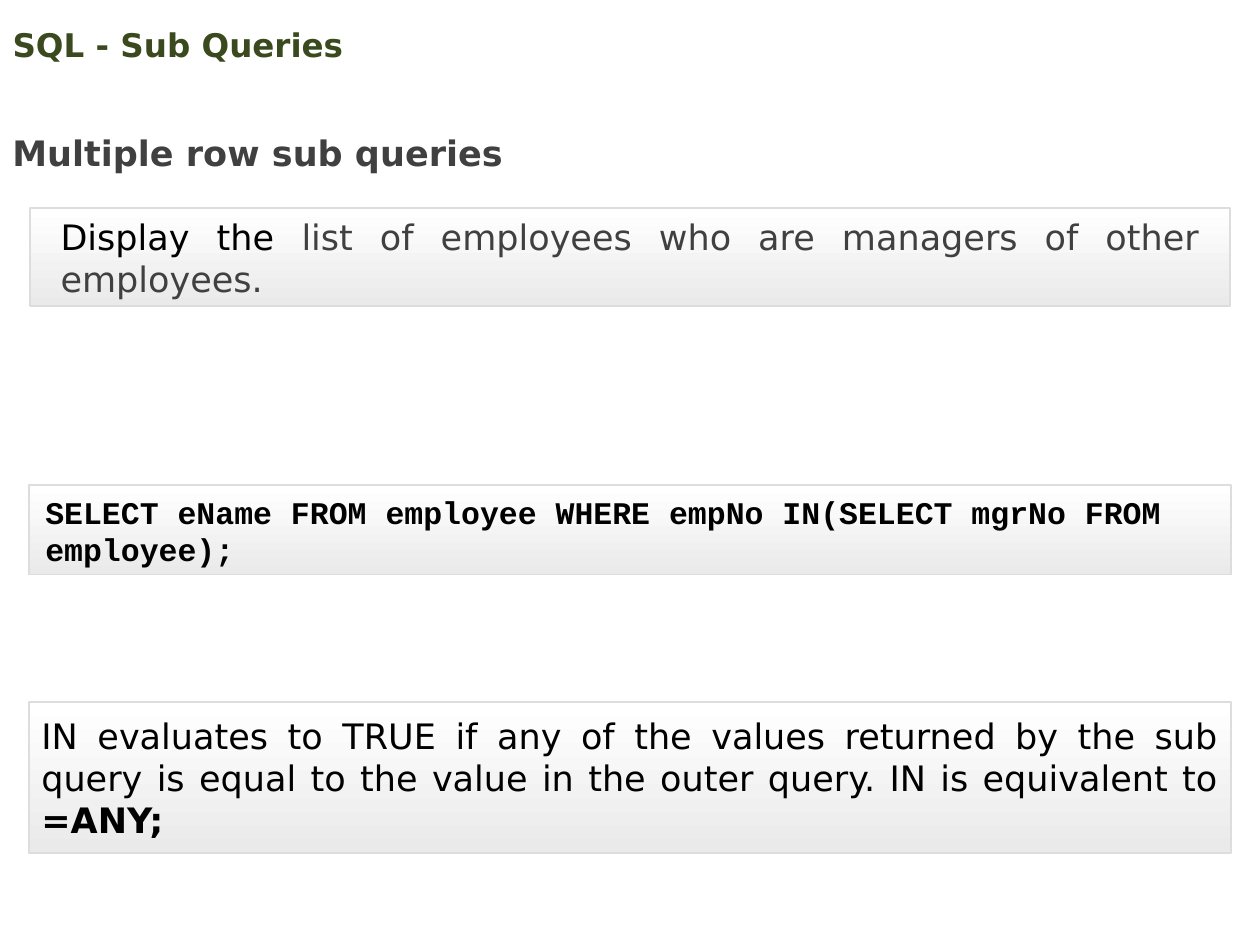
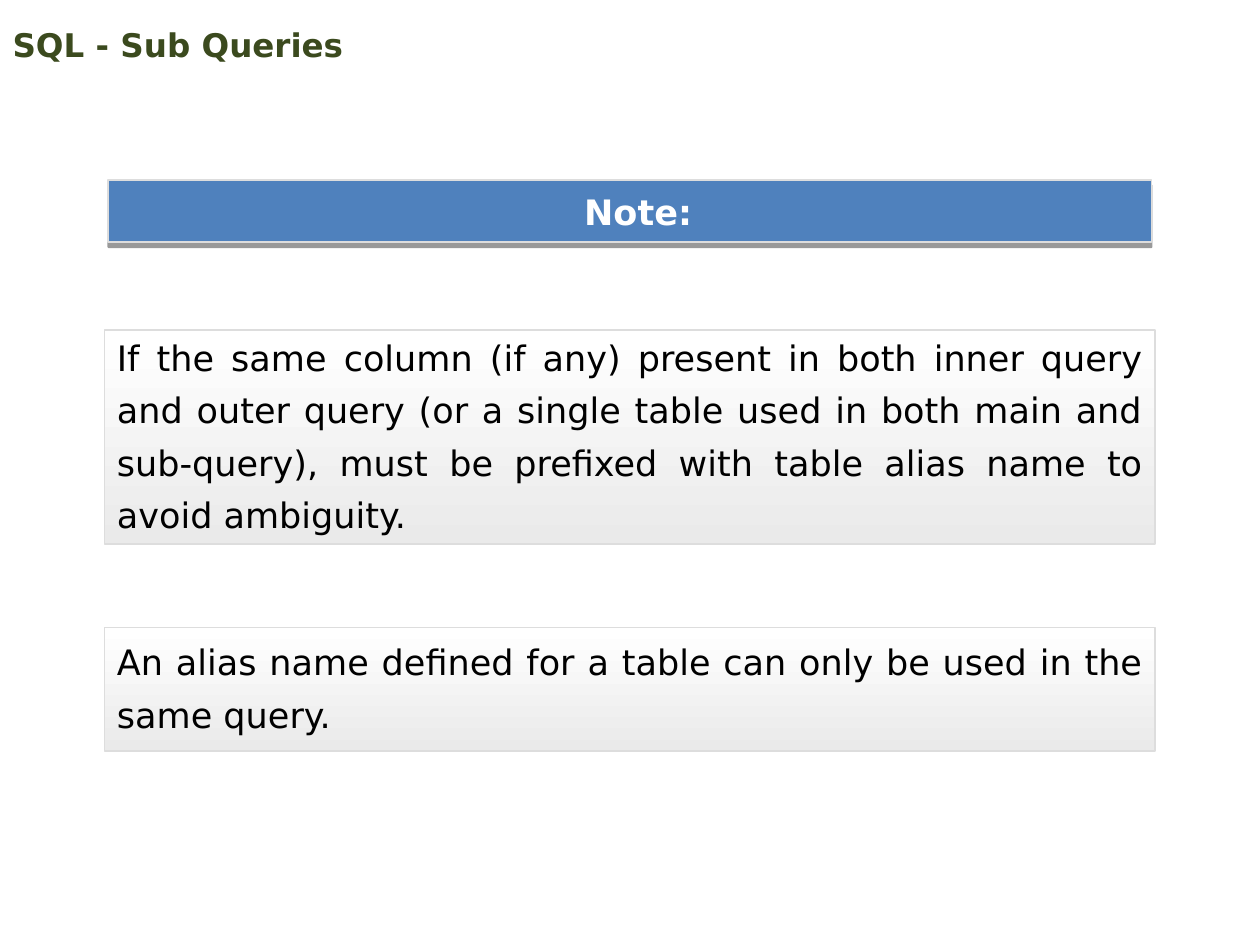
from dataclasses import dataclass
from lxml.etree import SubElement
from pptx import Presentation
from pptx.dml.color import RGBColor
from pptx.enum.shapes import MSO_SHAPE
from pptx.enum.text import MSO_ANCHOR, MSO_AUTO_SIZE, PP_ALIGN
from pptx.oxml.ns import qn
from pptx.util import Inches, Pt


@dataclass(frozen=True)
class Theme:
    title: str = "3B4A1E"
    text: str = "000000"
    muted: str = "404040"
    light: str = "FFFFFF"
    panel_end: str = "EAEAEA"
    border: str = "DDDDDD"
    accent: str = "4F81BD"
    font: str = "DejaVu Sans"
    code_font: str = "Courier New"
    title_size: float = 18.6
    body_size: float = 20
    code_size: float = 18


T = Theme()
WIDTH, HEIGHT = 10, 7.5
TITLE = "SQL - Sub Queries"

# Each run is (text, format); each panel is (top, height, runs, format).
HEADING = "Multiple row sub queries"
QUERY_PANELS = [
    (1.65, 0.78,
     [("Display the ", {}),
      ("list of employees who are managers of other employees.", {"color": T.muted})],
     {"margin": 0.24, "insets": (0.24, 0, 0.24, 0)}),
    (3.85, 0.71,
     [("SELECT eName FROM employee WHERE empNo IN(SELECT mgrNo FROM employee);",
       {"font": T.code_font, "size": T.code_size, "bold": True})],
     {"margin": 0.23, "insets": (0.13, 0.06, 0.12, 0.05),
      "align": PP_ALIGN.LEFT, "anchor": MSO_ANCHOR.TOP}),
    (5.57, 1.2,
     [("IN evaluates to TRUE if any of the values returned by the sub query is equal "
       "to the value in the outer query. IN is equivalent to ", {}),
      ("=ANY;", {"bold": True})],
     {"margin": 0.23}),
]

NOTE = "Note:"
NOTE_FORMAT = {"margin": 0.83, "insets": (0.1, 0, 0.1, 0.1), "spacing": Pt(30)}
NOTE_PANELS = [
    (2.62, 1.7,
     [("If the same column (if any) present in both inner query and outer query "
       "(or a single table used in both main and sub-query), must be prefixed with "
       "table alias name to avoid ambiguity.", {})], NOTE_FORMAT),
    (4.98, 0.98,
     [("An alias name defined for a table can only be used in the same query.", {})],
     NOTE_FORMAT),
]


def rgb(color):
    return RGBColor.from_string(color)


def write(sp, runs, align=PP_ALIGN.LEFT, anchor=MSO_ANCHOR.MIDDLE,
          insets=(0.1, 0.05, 0.1, 0.05), spacing=None, indent=0):
    """Fill a shape with one paragraph of (text, format) runs."""
    tf = sp.text_frame
    tf.word_wrap = True
    tf.auto_size = MSO_AUTO_SIZE.NONE
    tf.vertical_anchor = anchor
    tf.margin_left, tf.margin_top, tf.margin_right, tf.margin_bottom = map(Inches, insets)
    p = tf.paragraphs[0]
    p.alignment = align
    if spacing:
        p.line_spacing = spacing
    if indent:
        p._p.get_or_add_pPr().set("marL", str(Inches(indent)))
    for text, style in runs:
        r = p.add_run()
        r.text = text
        r.font.name = style.get("font", T.font)
        r.font.size = Pt(style.get("size", T.body_size))
        r.font.bold = style.get("bold", False)
        r.font.color.rgb = rgb(style.get("color", T.text))


def add_box(slide, top, height, margin):
    """Add a bordered rectangle centred between equal side margins."""
    sp = slide.shapes.add_shape(MSO_SHAPE.RECTANGLE, Inches(margin), Inches(top),
                                Inches(WIDTH - 2 * margin), Inches(height))
    sp.shadow.inherit = False
    sp.line.color.rgb = rgb(T.border)
    sp.line.width = Pt(1)
    return sp


def add_panel(slide, top, height, runs, margin, insets=(0.1, 0, 0.1, 0),
              align=PP_ALIGN.JUSTIFY, **style):
    sp = add_box(slide, top, height, margin)
    sp.fill.gradient()
    sp.fill.gradient_angle = 270
    for stop, color in zip(sp.fill.gradient_stops, (T.light, T.panel_end)):
        stop.color.rgb = rgb(color)
    write(sp, runs, align=align, insets=insets, **style)


def add_banner(slide, text):
    sp = add_box(slide, 1.43, 0.49, 0.86)
    sp.fill.solid()
    sp.fill.fore_color.rgb = rgb(T.accent)
    effects = sp._element.spPr.find(qn("a:effectLst"))
    shadow = SubElement(effects, qn("a:outerShdw"), blurRad="0", dist=str(Pt(3)),
                        dir="5400000", algn="ctr", rotWithShape="0")
    color = SubElement(shadow, qn("a:srgbClr"), val=T.text)
    SubElement(color, qn("a:alpha"), val="40000")
    write(sp, [(text, {"bold": True, "color": T.light})], align=PP_ALIGN.CENTER,
          insets=(0, 0, 0, 0), indent=0.13)


def add_heading(slide, text):
    sp = slide.shapes.add_textbox(0, Inches(0.83), Inches(7.09), Inches(0.6))
    write(sp, [(text, {"bold": True, "color": T.muted})],
          anchor=MSO_ANCHOR.TOP, spacing=1.5)


def add_slide(prs, panels):
    slide = prs.slides.add_slide(prs.slide_layouts.get_by_name("Title Only"))
    title = slide.shapes.title
    title.left, title.top = 0, Inches(0.14)
    title.width, title.height = Inches(0.9 * WIDTH), Inches(0.43)
    write(title, [(TITLE, {"size": T.title_size, "bold": True, "color": T.title})])
    for top, height, runs, style in panels:
        add_panel(slide, top, height, runs, **style)
    return slide


def main():
    prs = Presentation()
    prs.slide_width, prs.slide_height = Inches(WIDTH), Inches(HEIGHT)
    add_heading(add_slide(prs, QUERY_PANELS), HEADING)
    add_banner(add_slide(prs, NOTE_PANELS), NOTE)
    prs.save("out.pptx")


if __name__ == "__main__":
    main()
